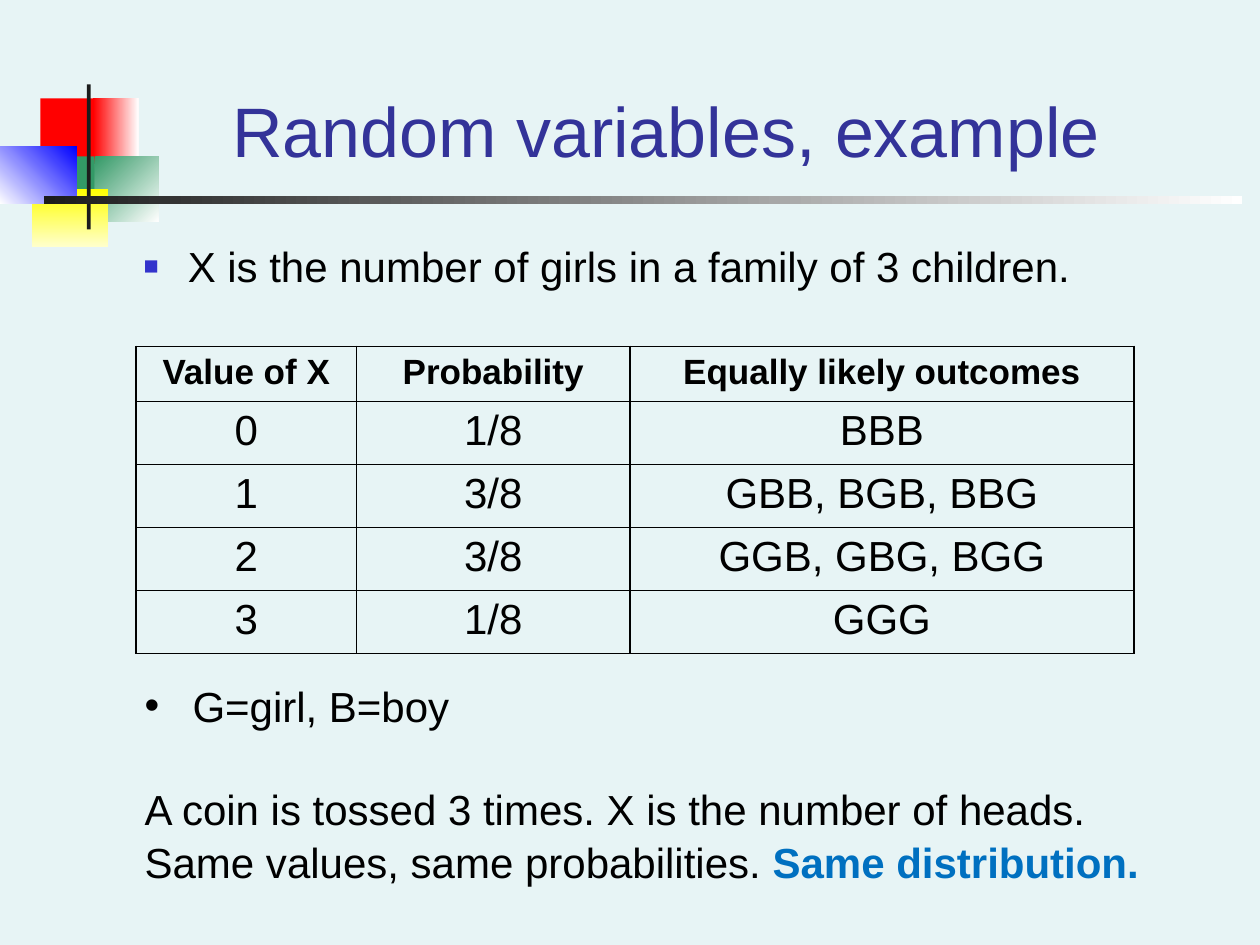
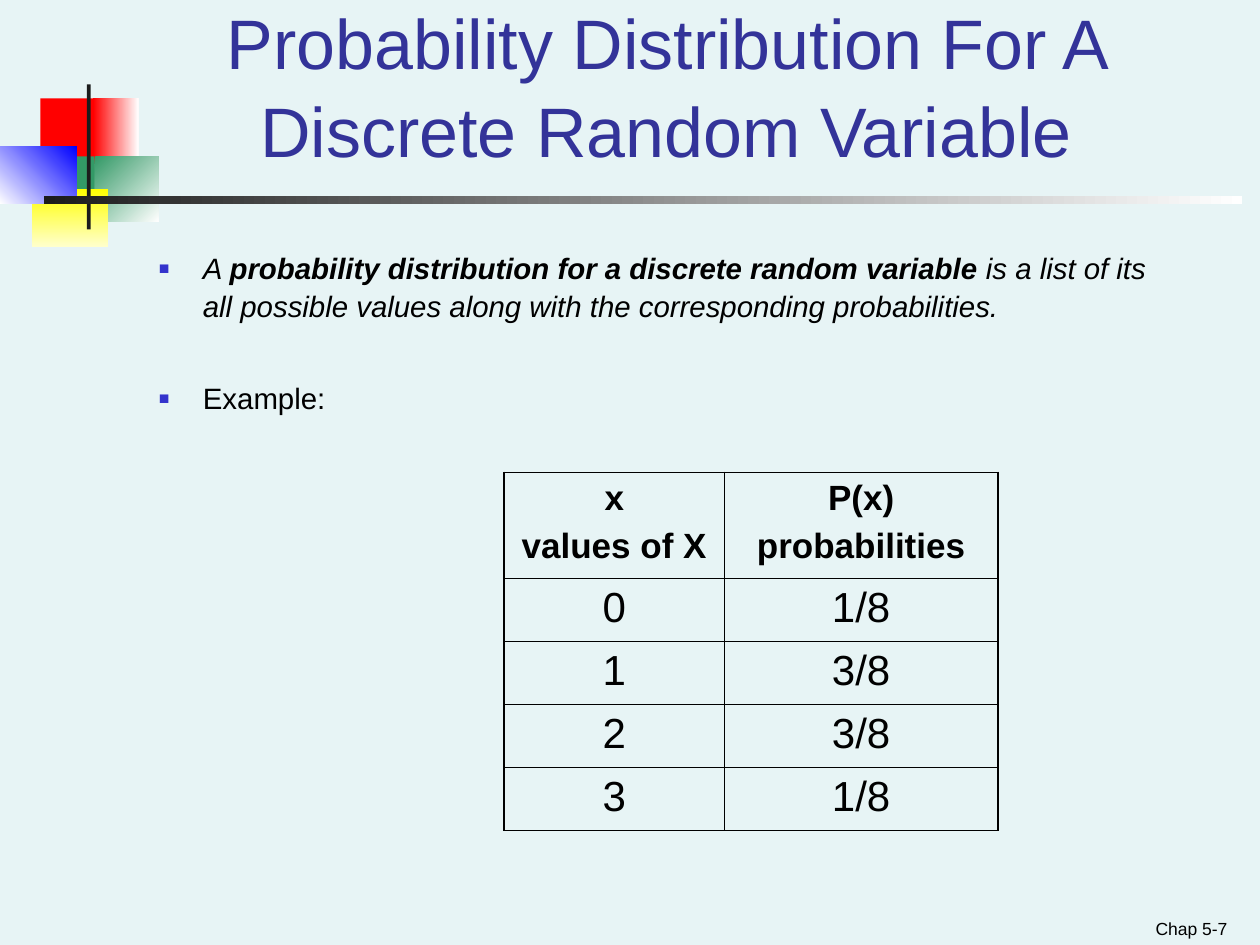
from typing import NamedTuple

from lxml import etree
from pptx import Presentation
from pptx.dml.color import RGBColor
from pptx.enum.shapes import MSO_SHAPE
from pptx.enum.text import MSO_ANCHOR, PP_ALIGN
from pptx.oxml.ns import qn
from pptx.util import Inches, Pt

RECT = MSO_SHAPE.RECTANGLE
TOP, BOTTOM = MSO_ANCHOR.TOP, MSO_ANCHOR.BOTTOM
LEFT, CENTER, RIGHT = PP_ALIGN.LEFT, PP_ALIGN.CENTER, PP_ALIGN.RIGHT

FONT = "Arial"
COLORS = {
    "paper": "E7F4F5",
    "title": "333399",
    "text": "000000",
    "mark": "3333CC",
    "accent": "0070C0",
    "red": "FF0000",
    "green": "339966",
    "yellow": "FFFF00",
    "cream": "FFFFCC",
    "blue": "0000FF",
    "ink": "1C1C1C",
    "white": "FFFFFF",
}
THIN, THICK = 0.45, 1.08
WIDTHS = (1.75, 2.17, 4)
ROW = 0.5


class Box(NamedTuple):
    left: float
    top: float
    width: float
    height: float


class Block(NamedTuple):
    box: Box
    start: str
    end: str = ""
    angle: int = 0


class Span(NamedTuple):
    text: str
    bold: bool = False
    italic: bool = False
    color: str = "text"


class Bullet(NamedTuple):
    char: str
    color: str
    size: int
    indent: float


class Para(NamedTuple):
    spans: tuple[Span, ...]
    bullet: Bullet | None = None
    before: float = 0


class Style(NamedTuple):
    size: float
    align: PP_ALIGN = LEFT
    anchor: MSO_ANCHOR = TOP
    inset: float = 0.09
    spacing: float = 1


SQUARE = Bullet("■", "mark", 60, 0.35)
DOT = Bullet("•", "text", 100, 0.38)

BLOCKS = (
    Block(Box(0.32, 0.78, 0.48, 0.52), "red"),
    Block(Box(0.74, 0.78, 0.36, 0.52), "red", "white"),
    Block(Box(0.75, 1.24, 0.51, 0.52), "green", "white", 45),
    Block(Box(0.43, 1.24, 0.32, 0.52), "green"),
    Block(Box(0.25, 1.5, 0.61, 0.46), "yellow", "cream", 90),
    Block(Box(0, 1.16, 0.61, 0.46), "white", "blue", 315),
    Block(Box(0.69, 0.67, 0.03, 1.15), "ink"),
    Block(Box(0.35, 1.56, 9.51, 0.06), "ink", "white"),
)

ODDS = (("0", "1/8"), ("1", "3/8"), ("2", "3/8"), ("3", "1/8"))
CASES = ("BBB", "GBB, BGB, BBG", "GGB, GBG, BGG", "GGG")


def rgb(name: str) -> RGBColor:
    return RGBColor.from_string(COLORS[name])


def place(box: Box) -> list[int]:
    return [Inches(side) for side in box]


def draw_block(slide, block: Block) -> None:
    shape = slide.shapes.add_shape(RECT, *place(block.box))
    shape.shadow.inherit = False
    shape.line.fill.background()
    if block.end:
        shape.fill.gradient()
        shape.fill.gradient_angle = (360 - block.angle) % 360
        for stop, name in zip(shape.fill.gradient_stops, (block.start, block.end)):
            stop.color.rgb = rgb(name)
    else:
        shape.fill.solid()
        shape.fill.fore_color.rgb = rgb(block.start)


def set_font(run, size: float, span: Span) -> None:
    font = run.font
    font.name, font.size = FONT, Pt(size)
    font.bold, font.italic = span.bold, span.italic
    font.color.rgb = rgb(span.color)


def add_bullet(para, bullet: Bullet) -> None:
    props = para._p.get_or_add_pPr()
    props.set("marL", str(Inches(bullet.indent)))
    props.set("indent", str(-Inches(bullet.indent)))
    color = etree.SubElement(props, qn("a:buClr"))
    etree.SubElement(color, qn("a:srgbClr"), val=COLORS[bullet.color])
    etree.SubElement(props, qn("a:buSzPct"), val=str(bullet.size * 1000))
    etree.SubElement(props, qn("a:buFont"), typeface=FONT)
    etree.SubElement(props, qn("a:buChar"), char=bullet.char)


def draw_text(slide, box: Box, style: Style, *paras: Para) -> None:
    frame = slide.shapes.add_textbox(*place(box)).text_frame
    frame.word_wrap = True
    frame.vertical_anchor = style.anchor
    frame.margin_left = frame.margin_right = Inches(style.inset)
    frame.margin_top = frame.margin_bottom = Inches(0.05)
    for index, item in enumerate(paras):
        para = frame.add_paragraph() if index else frame.paragraphs[0]
        if item.bullet:
            add_bullet(para, item.bullet)
        para.alignment = style.align
        para.line_spacing = style.spacing
        para.space_before = Pt(item.before)
        for span in item.spans:
            run = para.add_run()
            run.text = span.text
            set_font(run, style.size, span)


def add_edge(cell, side: str, width: float) -> None:
    line = etree.SubElement(cell._tc.get_or_add_tcPr(), qn(f"a:ln{side}"), w=str(Pt(width)))
    fill = etree.SubElement(line, qn("a:solidFill"))
    etree.SubElement(fill, qn("a:srgbClr"), val=COLORS["text"])


def fill_cell(cell, text: str, head: bool) -> None:
    cell.margin_left = cell.margin_right = Inches(0.1)
    cell.margin_top = cell.margin_bottom = Inches(0.05)
    cell.text_frame.text = text
    for index, para in enumerate(cell.text_frame.paragraphs):
        para.alignment = CENTER
        para.space_before = Pt(5 if index else 0)
        for run in para.runs:
            set_font(run, 20 if head else 24, Span(run.text, bold=head))


def draw_table(slide, left: float, top: float, head: float, rows: list[tuple[str, ...]]) -> None:
    count, last = len(rows[0]), len(rows) - 1
    box = Box(left, top, sum(WIDTHS[:count]), head + last * ROW)
    table = slide.shapes.add_table(len(rows), count, *place(box)).table
    table.first_row = table.horz_banding = False
    for column, width in zip(table.columns, WIDTHS):
        column.width = Inches(width)
    for r, texts in enumerate(rows):
        table.rows[r].height = Inches(ROW if r else head)
        for c, text in enumerate(texts):
            cell = table.cell(r, c)
            fill_cell(cell, text, r == 0)
            heavy = {"L": c != 1, "R": c != 0, "T": r == 0, "B": r == last}
            for side, thick in heavy.items():
                add_edge(cell, side, THICK if thick else THIN)
            cell.fill.background()


def add_slide(deck, title: str):
    slide = deck.slides.add_slide(deck.slide_layouts[6])
    slide.background.fill.solid()
    slide.background.fill.fore_color.rgb = rgb("paper")
    for block in BLOCKS:
        draw_block(slide, block)
    style = Style(40, CENTER, BOTTOM, spacing=1.05)
    draw_text(slide, Box(1.25, 0.33, 8.07, 1.08), style, Para((Span(title, color="title"),)))
    return slide


def build_girls(deck) -> None:
    slide = add_slide(deck, "Random variables, example")
    lead = Span("X is the number of girls in a family of 3 children.")
    draw_text(slide, Box(1.05, 1.83, 8.08, 0.67), Style(24, spacing=1.07), Para((lead,), SQUARE))
    head = ("Value of X", "Probability", "Equally likely outcomes")
    rows = [(*pair, case) for pair, case in zip(ODDS, CASES)]
    draw_table(slide, 1.08, 2.75, 0.43, [head, *rows])
    draw_text(
        slide,
        Box(1.05, 5.33, 8.33, 1.7),
        Style(24, inset=0.1, spacing=1.05),
        Para((Span("G=girl, B=boy"),), DOT),
        Para((Span("A coin is tossed 3 times. X is the number of heads."),), before=29),
        Para((
            Span("Same values, same probabilities. "),
            Span("Same distribution.", bold=True, color="accent"),
        )),
    )


def build_odds(deck) -> None:
    slide = add_slide(deck, "Probability Distribution For A Discrete Random Variable")
    draw_text(
        slide, Box(7.5, 7.15, 2.33, 0.35), Style(10, RIGHT, BOTTOM), Para((Span("Chap 5-7"),))
    )
    rule = (
        Span("A ", italic=True),
        Span("probability distribution for a discrete random variable", True, True),
        Span(
            " is a list of its all possible values along with the corresponding probabilities.",
            italic=True,
        ),
    )
    draw_text(
        slide,
        Box(1.17, 1.92, 8.08, 1.58),
        Style(16.8, spacing=1.07),
        Para(rule, SQUARE),
        Para((Span("Example:"),), SQUARE, 31),
    )
    draw_table(slide, 4, 3.75, 0.84, [("x\nvalues of X", "P(x)\nprobabilities"), *ODDS])


def main() -> None:
    deck = Presentation()
    deck.slide_width, deck.slide_height = Inches(10), Inches(7.5)
    build_girls(deck)
    build_odds(deck)
    deck.save("out.pptx")


if __name__ == "__main__":
    main()
